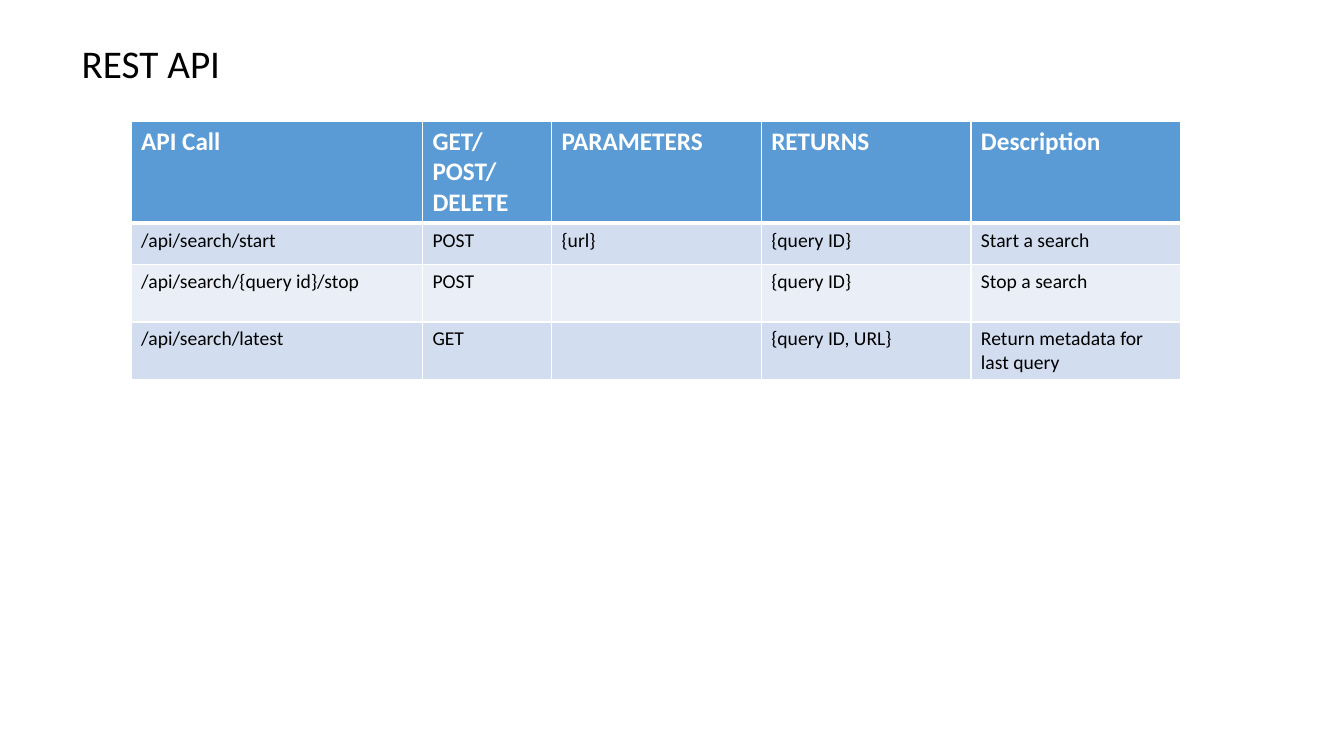
"""Build the REST API slide with its table of calls."""
import pptx
import pptx.util
import pptx.dml.color
import pptx.enum.text
import pptx.oxml
import pptx.oxml.ns

Inches, Pt = pptx.util.Inches, pptx.util.Pt
COLORS = {"head": "5B9BD5", "odd": "D2DEEF", "even": "EAEFF7", "white": "FFFFFF", "black": "000000"}
WIDTHS = [2.89, 1.28, 2.08, 2.08, 2.08]
HEIGHTS = [0.98, 0.41, 0.57, 0.57]
CALLS = [
    ["API Call", "GET/POST/DELETE", "PARAMETERS", "RETURNS", "Description"],
    ["/api/search/start", "POST", "{url}", "{query ID}", "Start a search"],
    ["/api/search/{query id}/stop", "POST", "", "{query ID}", "Stop a search"],
    ["/api/search/latest", "GET", "", "{query ID, URL}", "Return metadata for last query"],
]


def add_run(para, text, size, color, bold=False):
    run = para.add_run()
    run.text = text
    run.font.name = "Calibri"
    run.font.size = Pt(size)
    run.font.bold = bold
    run.font.color.rgb = pptx.dml.color.RGBColor.from_string(COLORS[color])


def set_edge(cell, side, width):
    edge = pptx.oxml.parse_xml(
        f'<a:ln{side} {pptx.oxml.ns.nsdecls("a")} w="{Pt(width)}"><a:solidFill>'
        f'<a:srgbClr val="{COLORS["white"]}"/></a:solidFill></a:ln{side}>'
    )
    cell.fill._xPr.insert("LRTB".index(side), edge)


deck = pptx.Presentation()
deck.slide_width, deck.slide_height = Inches(13.33), Inches(7.5)
slide = deck.slides.add_slide(deck.slide_layouts[5])

title = slide.shapes.title
title.left, title.top = Inches(0.71), Inches(0.34)
title.width, title.height = Inches(11.6), Inches(3.1)
frame = title.text_frame
frame.word_wrap = True
frame.auto_size = pptx.enum.text.MSO_AUTO_SIZE.NONE
frame.vertical_anchor = pptx.enum.text.MSO_ANCHOR.TOP
frame.paragraphs[0].alignment = pptx.enum.text.PP_ALIGN.LEFT
add_run(frame.paragraphs[0], "REST API", 28, "black")

table = slide.shapes.add_table(
    len(CALLS), len(WIDTHS), Inches(1.3), Inches(1.2), Inches(sum(WIDTHS)), Inches(sum(HEIGHTS))
).table
for col, width in zip(table.columns, WIDTHS):
    col.width = Inches(width)
for r, (row, height) in enumerate(zip(CALLS, HEIGHTS)):
    table.rows[r].height = Inches(height)
    head = r == 0
    fill = "head" if head else "odd" if r % 2 else "even"
    for c, text in enumerate(row):
        cell = table.cell(r, c)
        cell.fill.solid()
        cell.fill.fore_color.rgb = pptx.dml.color.RGBColor.from_string(COLORS[fill])
        for side in "LRTB":
            thick = head and side == "B" or r == 1 and side == "T"
            set_edge(cell, side, 3 if thick else 1)
        if text:
            para = cell.text_frame.paragraphs[0]
            add_run(para, text, 18 if head else 14, "white" if head else "black", head)

deck.save("out.pptx")
